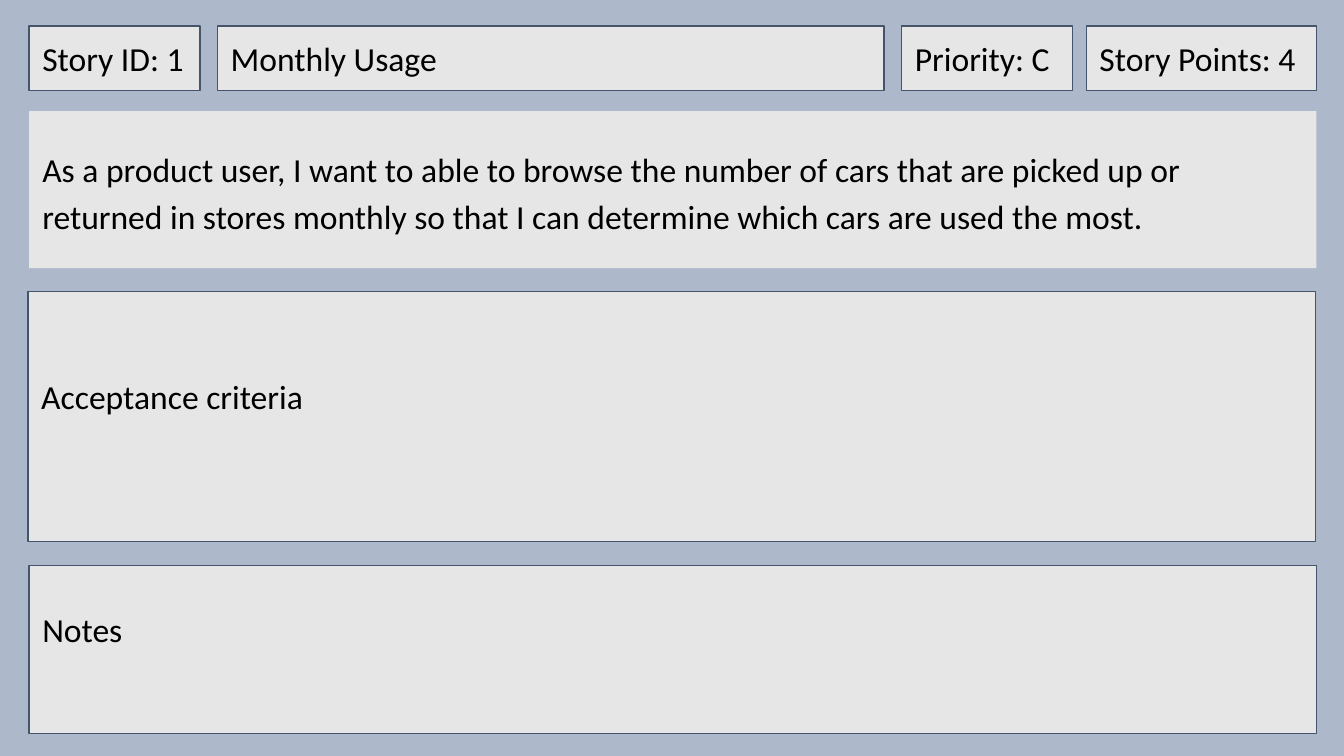
import pptx
import pptx.dml.color
import pptx.enum.shapes
import pptx.enum.text
import pptx.util

Cm = pptx.util.Cm
Pt = pptx.util.Pt
RGB = pptx.dml.color.RGBColor.from_string
COLORS = {"background": "ADB9CA", "panel": "E7E6E6", "border": "44546A", "text": "000000"}
FONT = {"name": "Calibri", "size": Pt(18)}
FRAME = {
    "word_wrap": True,
    "vertical_anchor": pptx.enum.text.MSO_ANCHOR.MIDDLE,
    "margin_left": Cm(0.25),
    "margin_right": Cm(0.25),
    "margin_top": Cm(0.25),
    "margin_bottom": Cm(0.25),
}
LIFTED = {"margin_bottom": Cm(1.02)}
STORY = ("As a product user, I want to able to browse the number of cars that are picked up or "
         "returned in stores monthly so that I can determine which cars are used the most.")


def set_all(target, values):
    """Set each named attribute of the target."""
    for name, value in values.items():
        setattr(target, name, value)


def add_panel(s, box, text, border=True, frame=None, spacing=1.0):
    """Add a filled rectangle with left-aligned text in the box."""
    sp = s.shapes.add_shape(pptx.enum.shapes.MSO_SHAPE.RECTANGLE, *(Cm(v) for v in box))
    sp.shadow.inherit = False
    sp.fill.solid()
    sp.fill.fore_color.rgb = RGB(COLORS["panel"])
    if border:
        sp.line.color.rgb = RGB(COLORS["border"])
        sp.line.width = Pt(0.75)
    else:
        sp.line.fill.background()
    tf = sp.text_frame
    set_all(tf, {**FRAME, **(frame or {})})
    p = tf.paragraphs[0]
    set_all(p, {"alignment": pptx.enum.text.PP_ALIGN.LEFT, "line_spacing": spacing})
    r = p.add_run()
    r.text = text
    set_all(r.font, FONT)
    r.font.color.rgb = RGB(COLORS["text"])


def add_header(s, box):
    """Add the row of story fields across the box."""
    left, top, width, height = box
    fields = [("Story ID: 1", 0, 3.23), ("Monthly Usage", 3.56, 12.6),
              ("Priority: C", 16.49, 3.23), ("Story Points: 4", width - 4.35, 4.35)]
    for text, offset, field_width in fields:
        add_panel(s, (left + offset, top, field_width, height), text)


def add_body(s, box):
    """Add the story, criteria and notes panels down the box."""
    left, top, width, height = box
    panels = [(STORY, 0, 0, 2.97, {"border": False, "spacing": 1.15}),
              ("Acceptance criteria", -0.02, 3.41, 4.73, {"frame": LIFTED}),
              ("Notes", 0, height - 3.18, 3.18, {"frame": LIFTED})]
    for text, dx, dy, panel_height, style in panels:
        add_panel(s, (left + dx, top + dy, width, panel_height), text, **style)


def add_story_card(prs):
    """Add a slide holding one user story card."""
    s = prs.slides.add_slide(prs.slide_layouts[6])
    s.background.fill.solid()
    s.background.fill.fore_color.rgb = RGB(COLORS["background"])
    add_header(s, (0.55, 0.49, 24.33, 1.22))
    add_body(s, (0.55, 2.1, 24.33, 11.77))


prs = pptx.Presentation()
set_all(prs, {"slide_width": Cm(25.4), "slide_height": Cm(14.29)})
add_story_card(prs)
prs.save("out.pptx")
